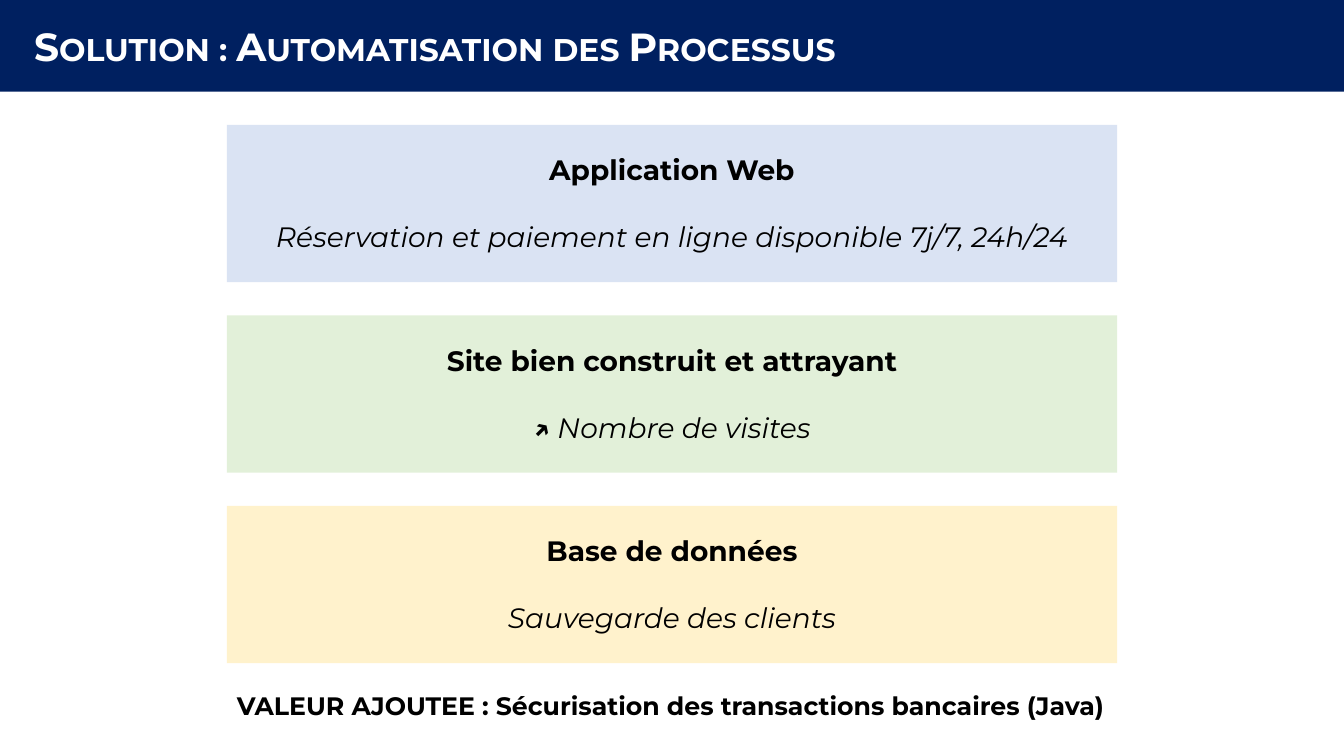
from pptx import Presentation
from pptx.dml.color import RGBColor
from pptx.enum.shapes import MSO_SHAPE
from pptx.enum.text import MSO_AUTO_SIZE, PP_ALIGN
from pptx.util import Inches, Pt

NAVY = RGBColor(0x00, 0x20, 0x60)
BLUE = RGBColor(0xDA, 0xE3, 0xF3)
GREEN = RGBColor(0xE2, 0xF0, 0xD9)
YELLOW = RGBColor(0xFF, 0xF2, 0xCC)
BLACK = RGBColor(0x00, 0x00, 0x00)
WHITE = RGBColor(0xFF, 0xFF, 0xFF)

CARD_LEFT, CARD_TOP, CARD_WIDTH, CARD_HEIGHT = 2.25, 1.24, 8.83, 1.56
CARD_PITCH = 1.89
TEXT_HEIGHT = 1.11

CARDS = [
    (BLUE, 8.21, "Application Web",
     [("Réservation et paiement en ligne disponible 7j/7, 24h/24", False)]),
    (GREEN, 4.82, "Site bien construit et attrayant",
     [("↗", True), (" Nombre de visites", False)]),
    (YELLOW, 3.49, "Base de données",
     [("Sauvegarde des clients", False)]),
]


class SlideBuilder:
    font = "Montserrat"

    def __init__(self, slide):
        self.s = slide

    def rect(self, left, top, width, height, color):
        sp = self.s.shapes.add_shape(
            MSO_SHAPE.RECTANGLE, Inches(left), Inches(top), Inches(width), Inches(height))
        sp.shadow.inherit = False
        sp.fill.solid()
        sp.fill.fore_color.rgb = color
        sp.line.fill.background()

    def text_frame(self, left, top, width, height, wrap=False):
        tb = self.s.shapes.add_textbox(
            Inches(left), Inches(top), Inches(width), Inches(height))
        tf = tb.text_frame
        tf.word_wrap = wrap
        tf.auto_size = MSO_AUTO_SIZE.SHAPE_TO_FIT_TEXT
        return tf

    def run(self, p, text, size, color=BLACK, bold=True, italic=False):
        r = p.add_run()
        r.text = text
        r.font.name = self.font
        r.font.size = Pt(size)
        r.font.color.rgb = color
        r.font.bold = bold
        r.font.italic = italic
        return r

    def card(self, top, color, text_width, heading, detail):
        self.rect(CARD_LEFT, top, CARD_WIDTH, CARD_HEIGHT, color)
        tf = self.text_frame(
            CARD_LEFT + (CARD_WIDTH - text_width) / 2,
            top + (CARD_HEIGHT - TEXT_HEIGHT) / 2, text_width, TEXT_HEIGHT)
        p = tf.paragraphs[0]
        p.alignment = PP_ALIGN.CENTER
        self.run(p, heading, 20)
        p = tf.add_paragraph()
        p.alignment = PP_ALIGN.CENTER
        p.space_before = Pt(24)
        for text, bold in detail:
            self.run(p, text, 20, bold=bold, italic=True)

    def banner(self, title):
        self.rect(0, 0, 13.34, 0.91, NAVY)
        tf = self.text_frame(0.24, 0.17, 8.36, 0.57)
        r = self.run(tf.paragraphs[0], title, 28, WHITE)
        r._r.get_or_add_rPr().set("cap", "small")

    def footer(self, text):
        tf = self.text_frame(CARD_LEFT, 6.8, 9.85, 0.4, wrap=True)
        self.run(tf.paragraphs[0], text, 18)


def main():
    prs = Presentation()
    prs.slide_width = Inches(13.33)
    prs.slide_height = Inches(7.5)
    builder = SlideBuilder(prs.slides.add_slide(prs.slide_layouts[6]))
    for i, card in enumerate(CARDS):
        builder.card(CARD_TOP + i * CARD_PITCH, *card)
    builder.footer("VALEUR AJOUTEE : Sécurisation des transactions bancaires (Java)")
    builder.banner("Solution : Automatisation des Processus")
    prs.save("out.pptx")


if __name__ == "__main__":
    main()
